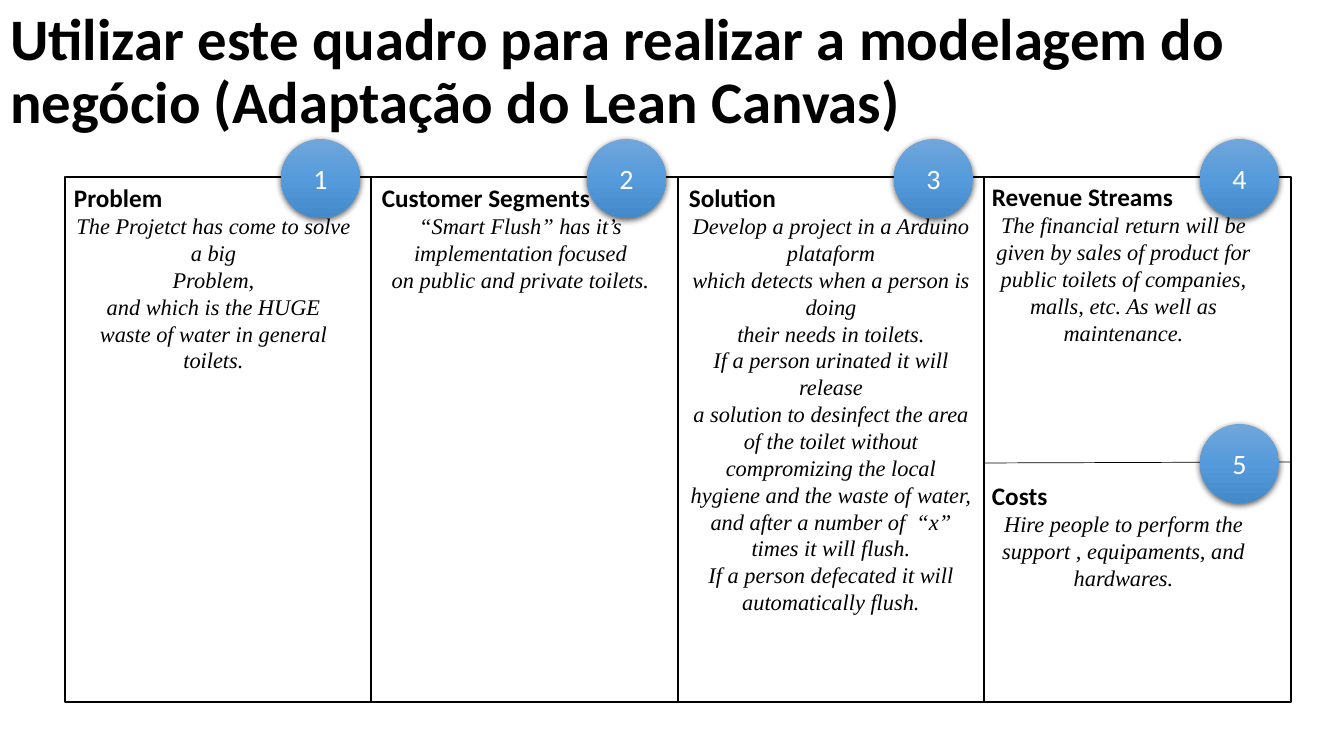
import copy
import lxml.etree
import pptx
import pptx.util
import pptx.dml.color
import pptx.enum.shapes
import pptx.enum.text
import pptx.oxml.ns

ALIGN = pptx.enum.text.PP_ALIGN
ANCHOR = pptx.enum.text.MSO_ANCHOR
SHAPE = pptx.enum.shapes.MSO_SHAPE
qn = pptx.oxml.ns.qn


def px(n):
    return pptx.util.Emu(round(n * 914400 / 100.8))


def rgb(value):
    return pptx.dml.color.RGBColor.from_string(value)


class Canvas:
    head_font = "Calibri"
    body_font = "Times New Roman"
    ink = "000000"
    paper = "FFFFFF"
    badge_stops = ((0, "71A6DB"), (0.5, "559BDB"), (1, "448ACA"))
    badge_size = 79

    def __init__(self, slide):
        self.s = slide

    def para(self, p, text, font, size, color, bold=False, italic=False, align=ALIGN.LEFT):
        p.text = text
        p.alignment = align
        for r in p.runs:
            f = r.font
            f.name, f.size, f.bold, f.italic = font, pptx.util.Pt(size), bold, italic
            f.color.rgb = rgb(color)

    def title(self, text, x, y, w, h):
        sp = self.s.shapes.title
        sp.left, sp.top, sp.width, sp.height = map(px, (x, y, w, h))
        tf = sp.text_frame
        tf.auto_size = pptx.enum.text.MSO_AUTO_SIZE.NONE
        tf.vertical_anchor = ANCHOR.MIDDLE
        p = tf.paragraphs[0]
        self.para(p, text, self.head_font, 42, self.ink, bold=True)
        p.line_spacing = 0.9

    def box(self, x, y, w, h):
        sp = self.s.shapes.add_shape(SHAPE.RECTANGLE, *map(px, (x, y, w, h)))
        sp.shadow.inherit = False
        sp.fill.solid()
        sp.fill.fore_color.rgb = rgb(self.paper)
        sp.line.color.rgb = rgb(self.ink)
        sp.line.width = pptx.util.Pt(1)

    def block(self, heading, lines, x, y, w, h):
        tf = self.s.shapes.add_textbox(*map(px, (x, y, w, h))).text_frame
        tf.word_wrap = True
        self.para(tf.paragraphs[0], heading, self.head_font, 18, self.ink, bold=True)
        for line in lines:
            self.para(tf.add_paragraph(), line, self.body_font, 16, self.ink,
                      italic=True, align=ALIGN.CENTER)

    def line(self, x1, y1, x2, y2):
        c = self.s.shapes.add_connector(pptx.enum.shapes.MSO_CONNECTOR.STRAIGHT,
                                        *map(px, (x1, y1, x2, y2)))
        c.line.color.rgb = rgb(self.ink)
        c.line.width = pptx.util.Pt(0.5)
        lxml.etree.SubElement(c._element.spPr, qn("a:effectLst"))

    def badge(self, number, x, y):
        size = px(self.badge_size)
        sp = self.s.shapes.add_shape(SHAPE.OVAL, px(x), px(y), size, size)
        sp.fill.gradient()
        sp.fill.gradient_angle = 270
        stops = sp._element.spPr.find(".//" + qn("a:gsLst"))
        stops.insert(1, copy.deepcopy(stops[0]))
        for stop, (position, color) in zip(sp.fill.gradient_stops, self.badge_stops):
            stop.position = position
            stop.color.rgb = rgb(color)
        sp.line.fill.background()
        self.shade(sp)
        tf = sp.text_frame
        tf.vertical_anchor = ANCHOR.MIDDLE
        self.para(tf.paragraphs[0], str(number), self.head_font, 20, self.paper,
                  align=ALIGN.CENTER)

    def shade(self, sp):
        sp.shadow.inherit = False
        effects = sp._element.spPr.find(qn("a:effectLst"))
        shadow = lxml.etree.SubElement(effects, qn("a:outerShdw"), blurRad="57150",
                                       dist="19050", dir="5400000", algn="ctr", rotWithShape="0")
        color = lxml.etree.SubElement(shadow, qn("a:srgbClr"), val=self.ink)
        lxml.etree.SubElement(color, qn("a:alpha"), val="63000")


prs = pptx.Presentation()
prs.slide_width, prs.slide_height = px(1344), px(756)
canvas = Canvas(prs.slides.add_slide(prs.slide_layouts[5]))

canvas.title("Utilizar este quadro para realizar a modelagem do negócio "
             "(Adaptação do Lean Canvas)", 0, 0, 1344, 146)

TOP, COL_W, COL_H = 177, 307, 525
COLS = [65 + 613 * i // 2 for i in range(4)]
for x in COLS:
    canvas.box(x, TOP, COL_W, COL_H)
canvas.line(COLS[3], 463, COLS[3] + COL_W, 462)

BLOCKS = [
    ("Problem", (64, TOP, 299, 204), [
        "The Projetct has come to solve a big",
        "Problem,",
        "and which is the HUGE",
        "waste of water in general toilets."]),
    ("Customer Segments", (372, TOP, 297, 122), [
        "“Smart Flush” has it’s",
        "implementation focused",
        "on public and private toilets."]),
    ("Solution", (679, TOP, 304, 448), [
        "Develop a project in a Arduino plataform",
        "which detects when a person is doing",
        "their needs in toilets.",
        "If a person urinated it will release",
        "a solution to desinfect the area of the toilet without",
        "compromizing the local hygiene and the waste of water, "
        "and after a number of  “x” times it will flush.",
        "If a person defecated it will automatically flush."]),
    ("Revenue Streams", (982, 176, 283, 180), [
        "The financial return will be given by sales of product for "
        "public toilets of companies, malls, etc. As well as maintenance."]),
    ("Costs", (982, 475, 283, 126), [
        "Hire people to perform the support , equipaments, and hardwares."]),
]
for heading, frame, lines in BLOCKS:
    canvas.block(heading, lines, *frame)

BADGES = [(x + 216, 139) for x in COLS] + [(COLS[3] + 216, 424)]
for number, (x, y) in enumerate(BADGES, 1):
    canvas.badge(number, x, y)

prs.save("out.pptx")
